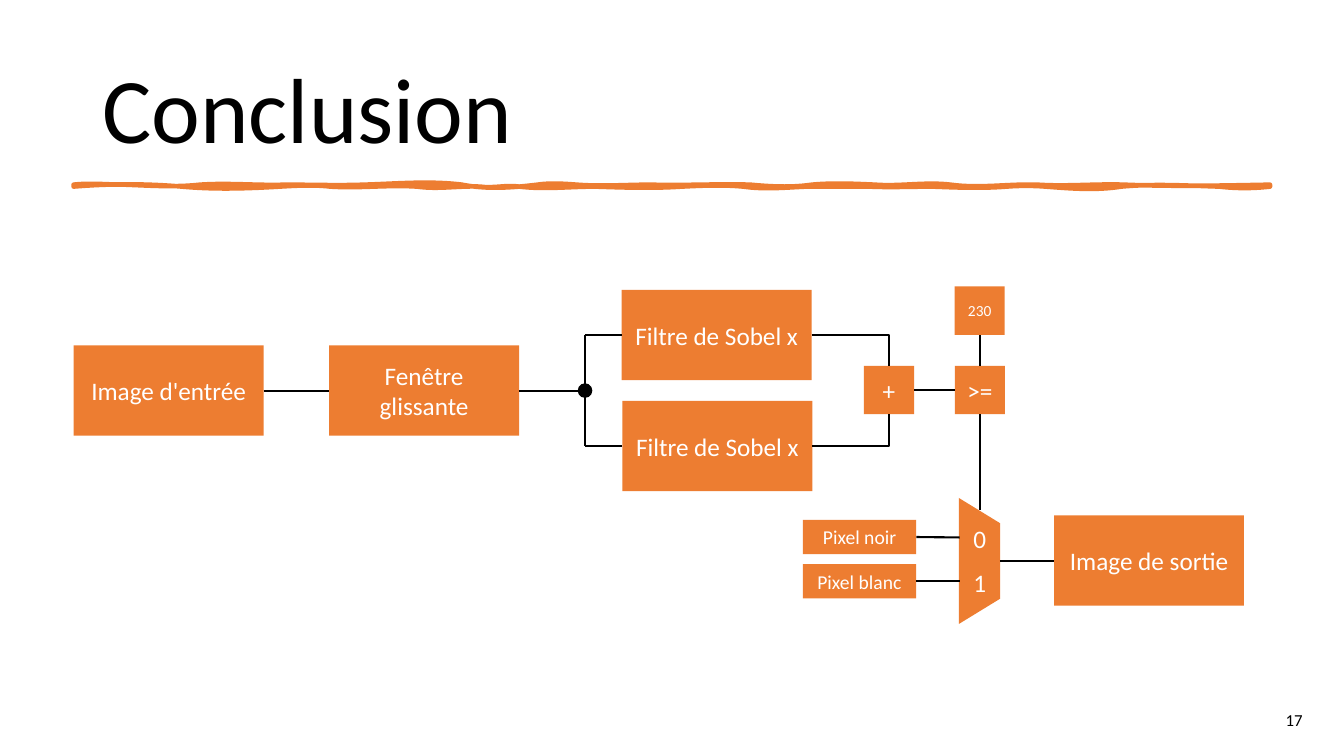
from dataclasses import dataclass

from lxml.etree import Element, SubElement
from pptx import Presentation
from pptx.dml.color import RGBColor
from pptx.enum.shapes import MSO_CONNECTOR, MSO_SHAPE
from pptx.enum.text import MSO_ANCHOR, MSO_AUTO_SIZE, PP_ALIGN
from pptx.oxml.ns import qn
from pptx.util import Pt


@dataclass(frozen=True)
class Theme:
    font: str = "Calibri"
    accent: RGBColor = RGBColor(0xED, 0x7D, 0x31)
    ink: RGBColor = RGBColor(0, 0, 0)
    light: RGBColor = RGBColor(0xFF, 0xFF, 0xFF)
    title_size: int = 66
    box_size: int = 18
    pixel_size: int = 14
    page_size: int = 12
    threshold_size: int = 11
    dot_outline: float = 1
    wire_width: float = 1.5
    brush_width: float = 3.25


THEME = Theme()
STAGE_SIZE = (135.7, 64.5)
OPERATOR_SIZE = (35.8, 34.6)
PIXEL_SIZE = (80.9, 24.6)

BOXES = [
    ("Image d'entrée", 52.6, 246.7, STAGE_SIZE, THEME.box_size),
    ("Fenêtre glissante", 235.1, 246.7, STAGE_SIZE, THEME.box_size),
    ("Filtre de Sobel x", 444.1, 207.1, STAGE_SIZE, THEME.box_size),
    ("Filtre de Sobel x", 444.6, 286.3, STAGE_SIZE, THEME.box_size),
    ("Image de sortie", 752.9, 368.2, STAGE_SIZE, THEME.box_size),
    ("+", 617.1, 261.3, OPERATOR_SIZE, THEME.box_size),
    (">=", 682, 261.3, OPERATOR_SIZE, THEME.box_size),
    ("230", 681.9, 204.6, OPERATOR_SIZE, THEME.threshold_size),
    ("Pixel noir", 573.6, 371.3, PIXEL_SIZE, THEME.pixel_size),
    ("Pixel blanc", 573.5, 402.9, PIXEL_SIZE, THEME.pixel_size),
]

STRAIGHT_WIRES = [
    (188.3, 279, 235.1, 279),
    (370.8, 279, 414, 279),
    (417.8, 239.4, 417.8, 274.3),
    (417.8, 239.4, 444.1, 239.4),
    (417.8, 283.7, 417.8, 318.6),
    (417.8, 318.6, 444.6, 318.6),
    (653, 278.6, 682, 278.6),
    (699.8, 261.3, 699.8, 239.4),
    (699.8, 296, 699.8, 364.5),
    (714.2, 400.7, 752.9, 400.7),
    (654.5, 383.6, 685.4, 383.9),
    (654.2, 415.2, 685.4, 415.2),
]

BENT_WIRES = [
    (579.8, 239.4, 635, 261.3),
    (580.2, 318.6, 635, 296),
]

BRUSH_LEFT, BRUSH_TOP, BRUSH_BOTTOM = 52.56, 131.9, 133.3
TOP_WAVES = [
    (89, -1.4, 0), (143, 0.7, 2), (204, -1.4, 0.7), (260, 0, 0.7),
    (330, -0.7, -2.9), (384, 3.6, 2.2), (412, -1.4, -0.7), (465, 1.4, 0),
    (536, 0.7, -0.7), (580, 1.4, 2.2), (625, -1.4, -0.7), (679, 1.4, -2.2),
    (741, 2.9, -0.7), (803, 1.4, -0.7), (907.2, 1.4, 0.7),
]
BOTTOM_WAVES = [
    (871, 1.4, 1.4), (801, -0.7, -2.2), (747, 2.9, 1.4), (719, -0.7, -0.7),
    (666, 1.4, 0.7), (621, 0, 0.7), (576, 0, 0), (531, 0.7, 2.2),
    (487, -1.4, -0.7), (425, 1.4, 0.7), (371, 0, 2.2), (343, -1.4, 1.4),
    (298, -0.7, 2.2), (236, -1.4, 1.4), (200, -1.4, -0.7), (130, 1.4, 2.2),
    (BRUSH_LEFT, -2.2, -2.2),
]


def add_run(paragraph, text, size, color):
    run = paragraph.add_run()
    run.text = text
    run.font.name = THEME.font
    run.font.size = Pt(size)
    run.font.color.rgb = color


def add_title(slide, text):
    title = slide.shapes.title
    title.left, title.top = Pt(66), Pt(28.8)
    title.width, title.height = Pt(828), Pt(104.4)
    frame = title.text_frame
    frame.auto_size = MSO_AUTO_SIZE.NONE
    frame.vertical_anchor = MSO_ANCHOR.MIDDLE
    paragraph = frame.paragraphs[0]
    paragraph.alignment = PP_ALIGN.LEFT
    paragraph.line_spacing = 0.9
    add_run(paragraph, text, THEME.title_size, THEME.ink)


def add_filled_shape(slide, kind, left, top, width, height, color):
    shape = slide.shapes.add_shape(kind, Pt(left), Pt(top), Pt(width), Pt(height))
    shape.shadow.inherit = False
    shape.fill.solid()
    shape.fill.fore_color.rgb = color
    shape.line.fill.background()
    return shape


def add_box(slide, text, left, top, size, text_size):
    shape = add_filled_shape(slide, MSO_SHAPE.RECTANGLE, left, top, *size, THEME.accent)
    frame = shape.text_frame
    frame.word_wrap = True
    frame.vertical_anchor = MSO_ANCHOR.MIDDLE
    paragraph = frame.paragraphs[0]
    paragraph.alignment = PP_ALIGN.CENTER
    add_run(paragraph, text, text_size, THEME.light)


def add_label(slide, text, left, top, width, height, size, color):
    label = slide.shapes.add_textbox(Pt(left), Pt(top), Pt(width), Pt(height))
    frame = label.text_frame
    frame.word_wrap = True
    frame.auto_size = MSO_AUTO_SIZE.SHAPE_TO_FIT_TEXT
    paragraph = frame.paragraphs[0]
    paragraph.alignment = PP_ALIGN.CENTER
    add_run(paragraph, text, size, color)


def add_wire(slide, ends, bent=False):
    kind = MSO_CONNECTOR.ELBOW if bent else MSO_CONNECTOR.STRAIGHT
    wire = slide.shapes.add_connector(kind, *(Pt(value) for value in ends))
    wire.line.color.rgb = THEME.ink
    wire.line.width = Pt(THEME.wire_width)
    properties = wire.element.spPr
    if bent:
        properties.find(qn("a:prstGeom")).set("prst", "bentConnector2")
    SubElement(properties, qn("a:effectLst"))


def bend_segments(segments, start, baseline, waves):
    for segment, (end, first_pull, second_pull) in zip(segments, waves):
        segment.tag = qn("a:cubicBezTo")
        for index, pull in enumerate((first_pull, second_pull)):
            control = Element(qn("a:pt"))
            control.set("x", str(Pt(start + (end - start) * (index + 1) / 3 - BRUSH_LEFT)))
            control.set("y", str(Pt(baseline + pull - BRUSH_TOP)))
            segment.insert(index, control)
        start = end


def add_brush_line(slide):
    right = TOP_WAVES[-1][0]
    builder = slide.shapes.build_freeform(Pt(BRUSH_LEFT), Pt(BRUSH_TOP))
    top = [(Pt(end), Pt(BRUSH_TOP)) for end, *_ in TOP_WAVES]
    bottom = [(Pt(end), Pt(BRUSH_BOTTOM)) for end, *_ in BOTTOM_WAVES]
    corner = (Pt(right), Pt(BRUSH_BOTTOM))
    builder.add_line_segments([*top, corner, *bottom], close=True)
    brush = builder.convert_to_shape()
    segments = list(brush.element.iter(qn("a:lnTo")))
    bend_segments(segments[:len(top)], BRUSH_LEFT, BRUSH_TOP, TOP_WAVES)
    bend_segments(segments[len(top) + 1:], right, BRUSH_BOTTOM, BOTTOM_WAVES)
    brush.shadow.inherit = False
    brush.fill.solid()
    brush.fill.fore_color.rgb = THEME.accent
    brush.line.color.rgb = THEME.accent
    brush.line.width = Pt(THEME.brush_width)


def add_multiplexer(slide):
    shape = add_filled_shape(
        slide, MSO_SHAPE.FLOWCHART_MANUAL_OPERATION, 654.6, 386, 90, 29.4, THEME.accent)
    shape.rotation = 270
    for text, top in (("0", 370), ("1", 401.7)):
        add_label(slide, text, 685.4, top, 28.8, 27.4, THEME.box_size, THEME.light)


def add_junction(slide):
    dot = add_filled_shape(slide, MSO_SHAPE.OVAL, 413.2, 274.3, 9.4, 9.4, THEME.ink)
    dot.line.color.rgb = THEME.ink
    dot.line.width = Pt(THEME.dot_outline)


def main():
    presentation = Presentation()
    presentation.slide_width, presentation.slide_height = Pt(960), Pt(540)
    slide = presentation.slides.add_slide(presentation.slide_layouts[5])
    add_title(slide, "Conclusion")
    add_brush_line(slide)
    for box in BOXES:
        add_box(slide, *box)
    add_multiplexer(slide)
    for ends in STRAIGHT_WIRES:
        add_wire(slide, ends)
    for ends in BENT_WIRES:
        add_wire(slide, ends, bent=True)
    add_junction(slide)
    add_label(slide, "17", 899.3, 503.3, 50.4, 21.6, THEME.page_size, THEME.ink)
    presentation.save("out.pptx")


if __name__ == "__main__":
    main()
